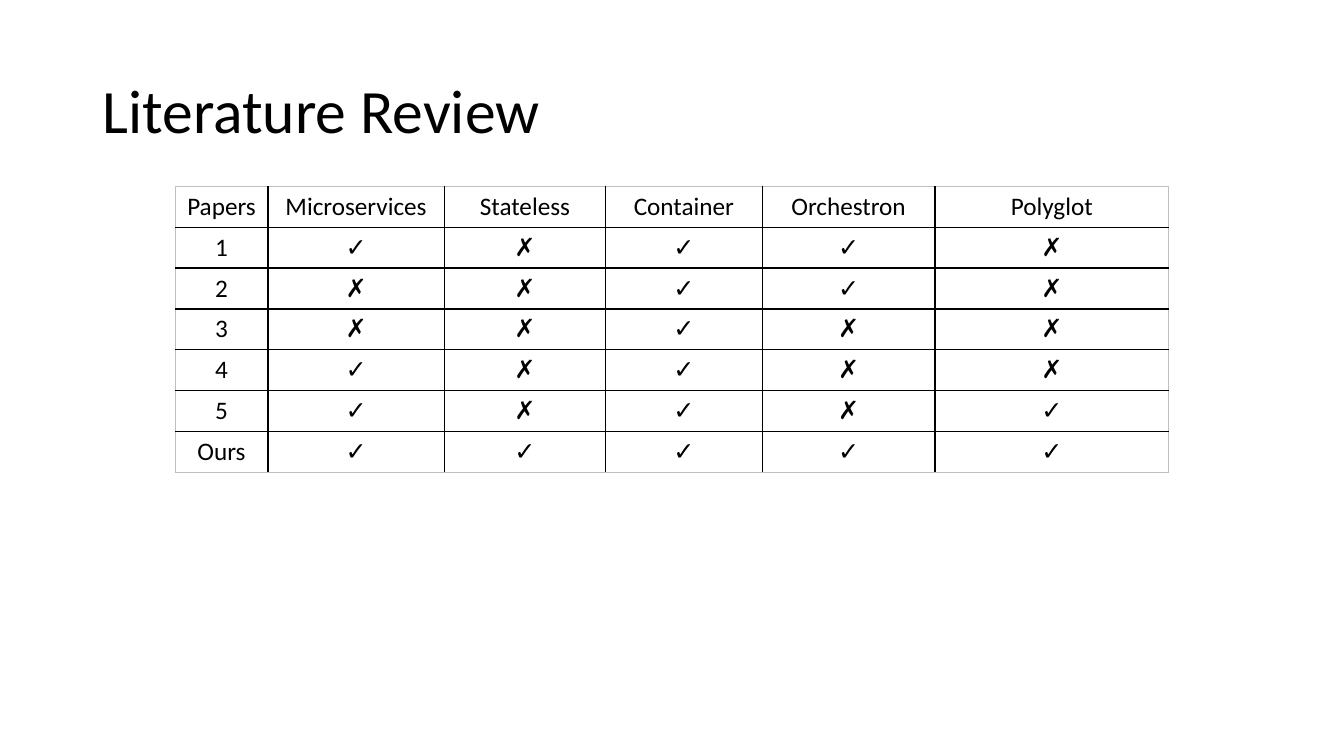
from lxml import etree
from pptx import Presentation
from pptx import util as u
from pptx.dml.color import RGBColor
from pptx.enum import text
from pptx.oxml import ns

BLACK = RGBColor(0x00, 0x00, 0x00)
WHITE = RGBColor(0xFF, 0xFF, 0xFF)
GREY = RGBColor(0xBF, 0xBF, 0xBF)
FONT = "Calibri"

COLUMN_WIDTHS = [66.3, 126, 115.2, 111.9, 123.4, 167]
ROW_HEIGHT = 29.2
REVIEW = [
    ["Papers", "Microservices", "Stateless", "Container", "Orchestron", "Polyglot"],
    ["1", "✓", "✗", "✓", "✓", "✗"],
    ["2", "✗", "✗", "✓", "✓", "✗"],
    ["3", "✗", "✗", "✓", "✗", "✗"],
    ["4", "✓", "✗", "✓", "✗", "✗"],
    ["5", "✓", "✗", "✓", "✗", "✓"],
    ["Ours", "✓", "✓", "✓", "✓", "✓"],
]


def format_paragraph(paragraph, size, alignment):
    paragraph.alignment = alignment
    for run in paragraph.runs:
        run.font.name = FONT
        run.font.size = u.Pt(size)
        run.font.color.rgb = BLACK


def set_title(slide, title):
    shape = slide.shapes.title
    shape.left, shape.top = u.Pt(66), u.Pt(28.75)
    shape.width, shape.height = u.Pt(828), u.Pt(104.4)
    frame = shape.text_frame
    frame.text = title
    frame.word_wrap = True
    frame.vertical_anchor = text.MSO_ANCHOR.MIDDLE
    paragraph = frame.paragraphs[0]
    paragraph.line_spacing = 0.9
    format_paragraph(paragraph, 44, text.PP_ALIGN.LEFT)


def add_border(cell, side, color, width):
    properties = cell._tc.get_or_add_tcPr()
    line = etree.SubElement(properties, ns.qn(f"a:ln{side}"), w=str(u.Pt(width)))
    fill = etree.SubElement(line, ns.qn("a:solidFill"))
    etree.SubElement(fill, ns.qn("a:srgbClr"), val=str(color))


def format_cell(cell, outer_sides):
    for side in "LRTB":
        if side in outer_sides:
            add_border(cell, side, GREY, 0.5)
        else:
            add_border(cell, side, BLACK, 1)
    cell.fill.solid()
    cell.fill.fore_color.rgb = WHITE
    format_paragraph(cell.text_frame.paragraphs[0], 18, text.PP_ALIGN.CENTER)


def add_review_table(slide, rows):
    last_row, last_column = len(rows) - 1, len(COLUMN_WIDTHS) - 1
    table = slide.shapes.add_table(
        len(rows), len(COLUMN_WIDTHS), u.Pt(125.1), u.Pt(133.1),
        u.Pt(sum(COLUMN_WIDTHS)), u.Pt(ROW_HEIGHT * len(rows))).table
    table.first_row = False
    table.horz_banding = False
    for column, width in zip(table.columns, COLUMN_WIDTHS):
        column.width = u.Pt(width)
    for row_index, values in enumerate(rows):
        table.rows[row_index].height = u.Pt(ROW_HEIGHT)
        for column_index, value in enumerate(values):
            edges = {"L": column_index == 0, "R": column_index == last_column,
                     "T": row_index == 0, "B": row_index == last_row}
            cell = table.cell(row_index, column_index)
            cell.text_frame.text = value
            format_cell(cell, [side for side, outer in edges.items() if outer])


def main():
    presentation = Presentation()
    presentation.slide_width, presentation.slide_height = u.Pt(960), u.Pt(540)
    slide = presentation.slides.add_slide(presentation.slide_layouts[5])
    set_title(slide, "Literature Review")
    add_review_table(slide, REVIEW)
    presentation.save("out.pptx")


if __name__ == "__main__":
    main()
